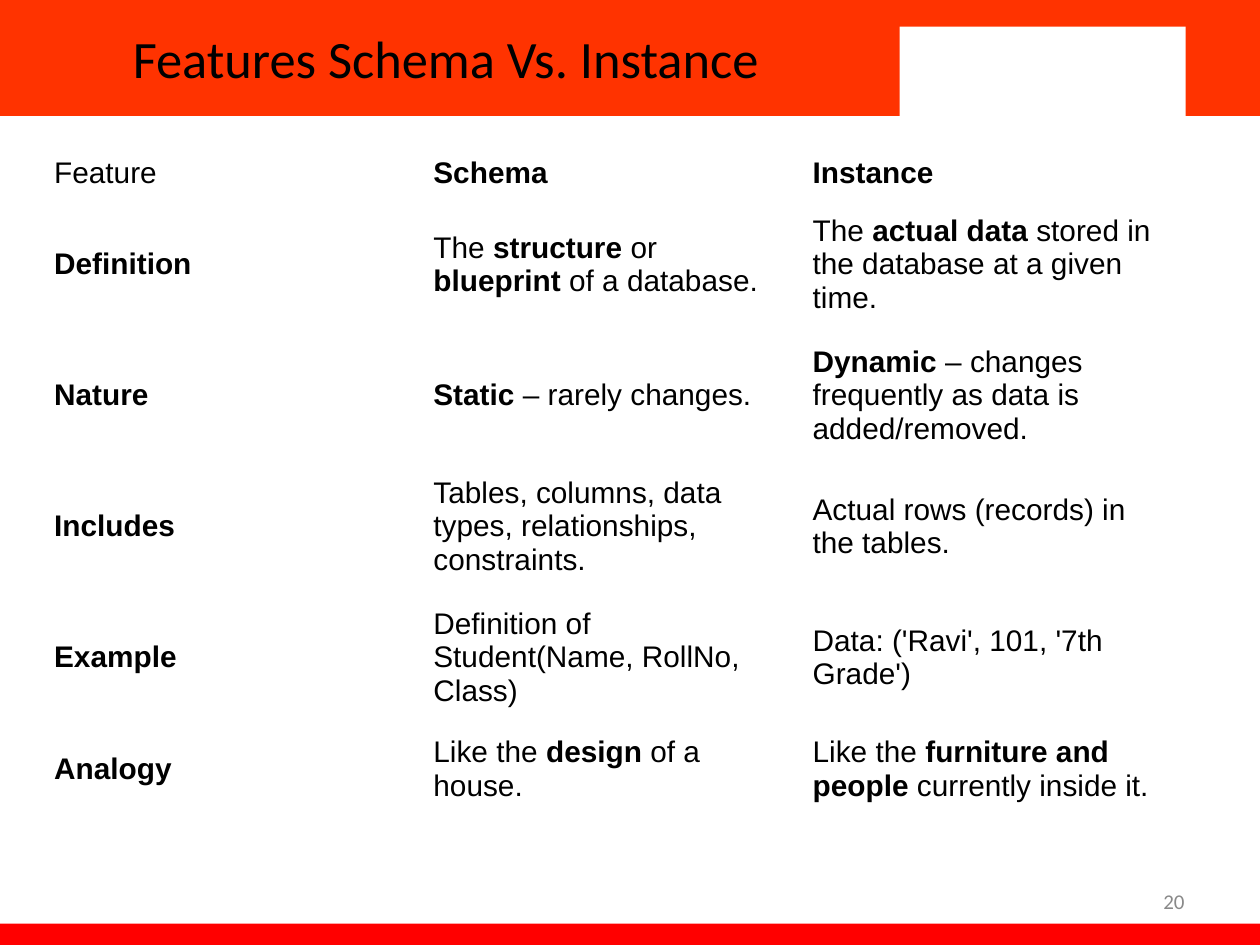
from dataclasses import dataclass

from pptx import Presentation
from pptx.dml.color import RGBColor
from pptx.enum.shapes import MSO_SHAPE
from pptx.enum.text import MSO_ANCHOR, PP_ALIGN
from pptx.util import Inches, Pt

SLIDE_WIDTH, SLIDE_HEIGHT = 10, 7.5


@dataclass(frozen=True)
class Theme:
    banner: str = "FF3300"
    footer: str = "FF0000"
    paper: str = "FFFFFF"
    ink: str = "000000"
    muted: str = "898989"
    heading_font: str = "Calibri"
    body_font: str = "Arial"
    title_size: float = 30
    table_size: float = 17
    number_size: float = 12


@dataclass(frozen=True)
class Box:
    left: float
    top: float
    width: float
    height: float

    def share(self, left, top, width, height):
        """Return a box inside this one, given as shares of its size."""
        return Box(self.left + left * self.width, self.top + top * self.height,
                   width * self.width, height * self.height)

    def lengths(self):
        return [Inches(value) for value in (self.left, self.top, self.width, self.height)]


THEME = Theme()

# Double asterisks enclose bold words
FEATURES = [
    ["Feature", "**Schema**", "**Instance**"],
    ["**Definition**", "The **structure** or **blueprint** of a database.",
     "The **actual data** stored in the database at a given time."],
    ["**Nature**", "**Static** – rarely changes.",
     "**Dynamic** – changes frequently as data is added/removed."],
    ["**Includes**", "Tables, columns, data types, relationships, constraints.",
     "Actual rows (records) in the tables."],
    ["**Example**", "Definition of Student(Name, RollNo, Class)",
     "Data: ('Ravi', 101, '7th Grade')"],
    ["**Analogy**", "Like the **design** of a house.",
     "Like the **furniture and people** currently inside it."],
]
ROW_HEIGHTS = [0.41, 1.04, 1.04, 1.04, 1.04, 0.73]


def format_font(font, name, size, color, bold=False):
    font.name = name
    font.size = Pt(size)
    font.bold = bold
    font.color.rgb = RGBColor.from_string(color)


def add_block(slide, box, color):
    block = slide.shapes.add_shape(MSO_SHAPE.RECTANGLE, *box.lengths())
    block.shadow.inherit = False
    block.fill.solid()
    block.fill.fore_color.rgb = RGBColor.from_string(color)
    block.line.fill.background()


def add_banner(slide, box, text):
    add_block(slide, box, THEME.banner)
    # White panel hanging over the lower edge of the banner
    add_block(slide, box.share(0.714, 0.23, 0.227, 0.81), THEME.paper)

    # Title, brought in front of the banner
    title = slide.shapes.title
    title.left, title.top, title.width, title.height = box.share(0, 0, 0.708, 1).lengths()
    title.element.getparent().append(title.element)
    frame = title.text_frame
    frame.text = text
    frame.vertical_anchor = MSO_ANCHOR.MIDDLE
    paragraph = frame.paragraphs[0]
    paragraph.alignment = PP_ALIGN.CENTER
    format_font(paragraph.runs[0].font, THEME.heading_font, THEME.title_size, THEME.ink)


def fill_cell(cell, text):
    cell.fill.background()
    cell.vertical_anchor = MSO_ANCHOR.MIDDLE
    paragraph = cell.text_frame.paragraphs[0]
    for index, piece in enumerate(text.split("**")):
        if piece:
            run = paragraph.add_run()
            run.text = piece
            format_font(run.font, THEME.body_font, THEME.table_size, THEME.ink,
                        bold=index % 2 == 1)


def add_feature_table(slide, box):
    table = slide.shapes.add_table(len(FEATURES), len(FEATURES[0]), *box.lengths()).table
    table.first_row = False
    table.horz_banding = False
    for column in table.columns:
        column.width = Inches(box.width / len(table.columns))
    for row, height, texts in zip(table.rows, ROW_HEIGHTS, FEATURES):
        row.height = Inches(height)
        for cell, text in zip(row.cells, texts):
            fill_cell(cell, text)


def add_page_number(slide, box, number):
    frame = slide.shapes.add_textbox(*box.lengths()).text_frame
    frame.word_wrap = True
    frame.vertical_anchor = MSO_ANCHOR.MIDDLE
    frame.text = str(number)
    paragraph = frame.paragraphs[0]
    paragraph.alignment = PP_ALIGN.RIGHT
    format_font(paragraph.runs[0].font, THEME.heading_font, THEME.number_size, THEME.muted)


def main():
    presentation = Presentation()
    presentation.slide_width = Inches(SLIDE_WIDTH)
    presentation.slide_height = Inches(SLIDE_HEIGHT)
    slide = presentation.slides.add_slide(presentation.slide_layouts[5])

    # Footer strip, then the regions from top to bottom
    add_block(slide, Box(0, 7.33, SLIDE_WIDTH, SLIDE_HEIGHT - 7.33), THEME.footer)
    add_banner(slide, Box(0, 0, SLIDE_WIDTH, 0.92), "Features Schema Vs. Instance")
    add_feature_table(slide, Box(0.33, 1.17, 9.03, sum(ROW_HEIGHTS)))
    add_page_number(slide, Box(7.17, 6.95, 2.33, 0.4), 20)

    presentation.save("out.pptx")


if __name__ == "__main__":
    main()
